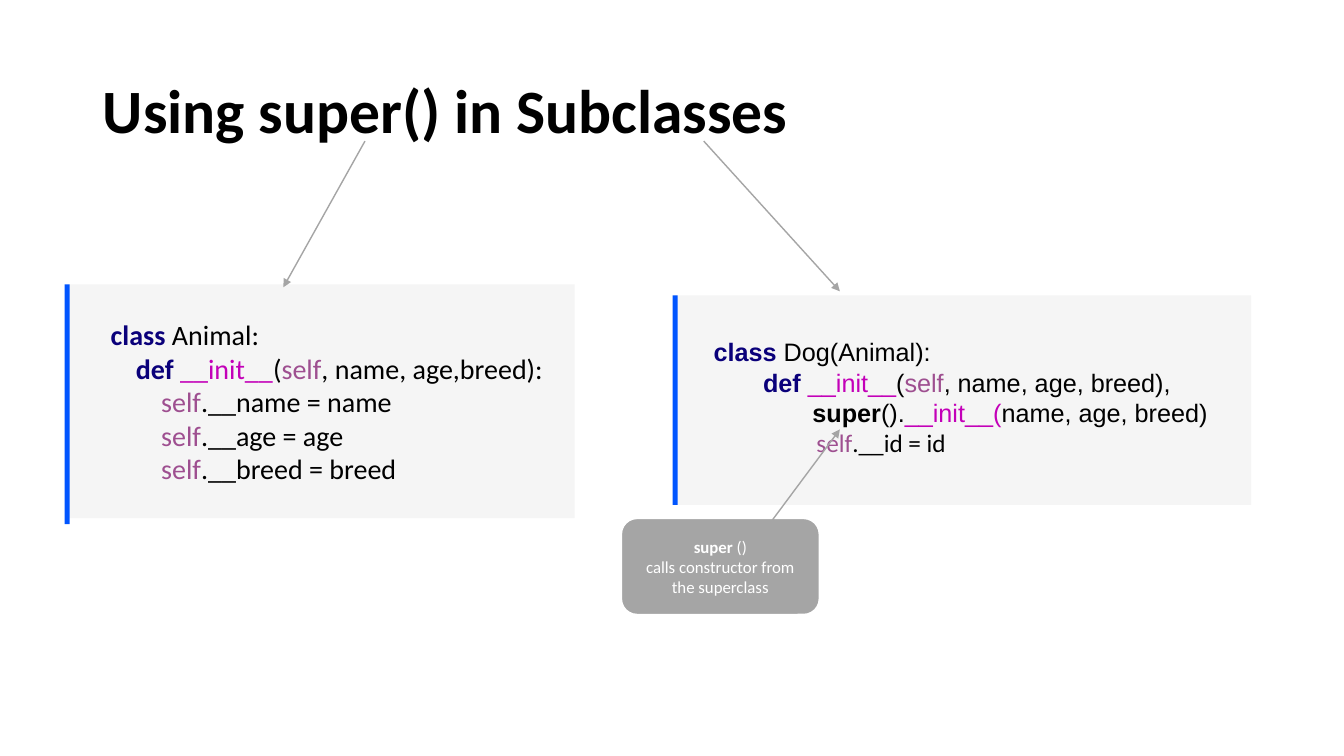
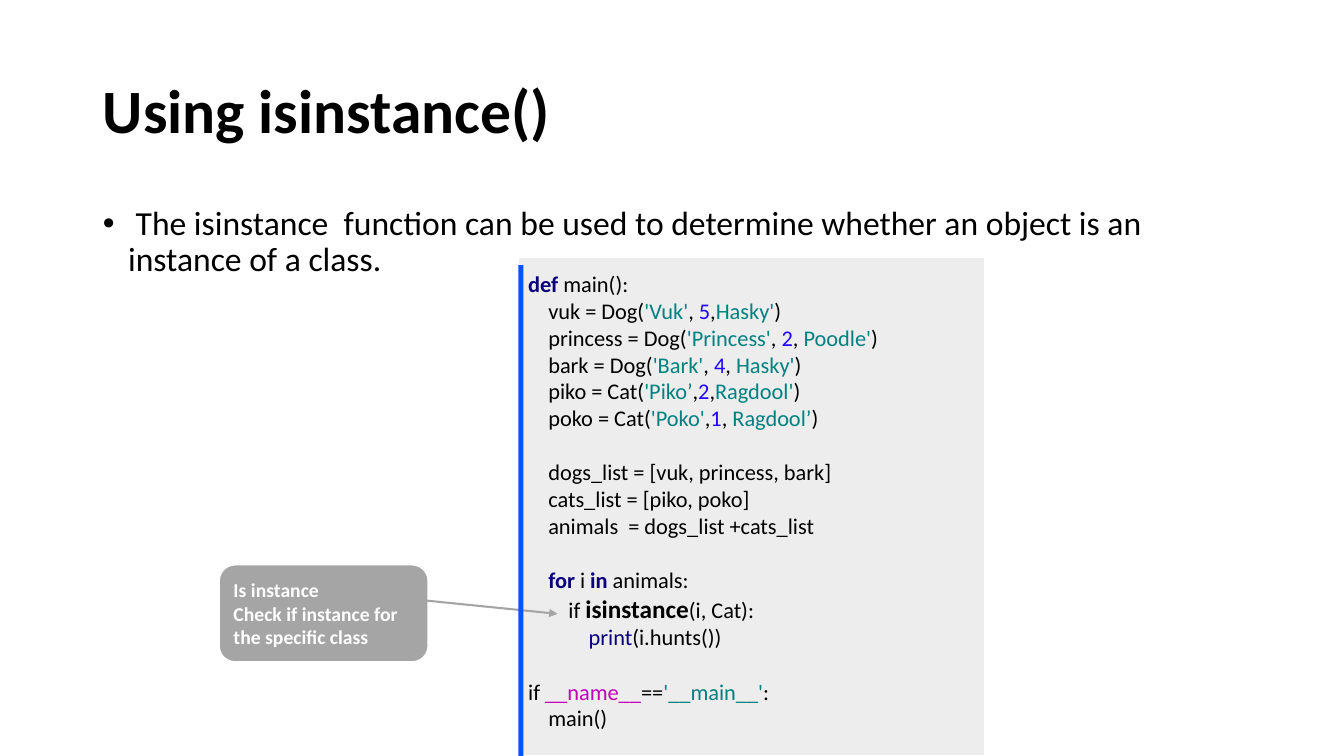
from collections import namedtuple

from lxml.etree import SubElement
from pptx import Presentation
from pptx.dml.color import RGBColor
from pptx.enum.shapes import MSO_CONNECTOR as Connector, MSO_SHAPE as Shape
from pptx.enum.text import MSO_ANCHOR as Anchor, MSO_AUTO_SIZE as AutoSize, PP_ALIGN as Align
from pptx.oxml.ns import qn
from pptx.util import Inches, Pt

BLACK = RGBColor(0x00, 0x00, 0x00)
WHITE = RGBColor(0xFF, 0xFF, 0xFF)
GRAY = RGBColor(0xA5, 0xA5, 0xA5)
PANEL = RGBColor(0xF5, 0xF5, 0xF5)
TABLE_FILL = RGBColor(0xED, 0xED, 0xED)
BAR_BLUE = RGBColor(0x00, 0x55, 0xFF)
NAVY = RGBColor(0x0A, 0x00, 0x7A)
MAGENTA = RGBColor(0xC3, 0x00, 0xB8)
PLUM = RGBColor(0x9E, 0x4F, 0x90)
TEAL = RGBColor(0x00, 0x81, 0x80)
NUMBER_BLUE = RGBColor(0x23, 0x00, 0xFF)

FONT = "Calibri"
BAR_WIDTH = 0.05
TITLE_AREA = (0.92, 0.4, 11.5, 1.45)
TITLE_FORMAT = {"name": FONT, "size": Pt(44), "bold": True}
BODY_FORMAT = {"name": FONT, "size": Pt(24), "bold": False}

# Code style: colour and font changes
CODE_STYLES = {
    "plain": (BLACK, {}),
    "keyword": (NAVY, {"bold": True}),
    "builtin": (NAVY, {}),
    "strong": (BLACK, {"bold": True}),
    "large": (BLACK, {"bold": True, "size": Pt(18)}),
    "magic": (MAGENTA, {}),
    "self": (PLUM, {}),
    "string": (TEAL, {}),
    "number": (NUMBER_BLUE, {}),
}

# A span is a plain string or a (text, style) pair; gap is space before in points
Line = namedtuple("Line", "level spans gap font", defaults=(0, None))

SELF = ("self", "self")
INIT = ("__init__", "magic")

ANIMAL_CODE = [
    Line(0, [("class ", "keyword"), "Animal:"]),
    Line(1, [("def ", "keyword"), INIT, "(", SELF, ", name, age,breed):"]),
    *(Line(2, [SELF, f".__{field} = {field}"]) for field in ("name", "age", "breed")),
]

DOG_CODE = [
    Line(0, [("class", "keyword"), " Dog(Animal):"]),
    Line(1, [("def ", "keyword"), INIT, "(", SELF, ", name, age, breed),"]),
    Line(2, [("super", "strong"), "().", ("__init__(", "magic"), "name, age, breed)"]),
    Line(2.08, [SELF, ".__id = id"], font=FONT),
]


def pet_line(start, name, comma, age, second_comma, breed):
    return Line(1, [start, (name, "string"), comma, (age, "number"),
                    second_comma, (breed, "string"), ")"])


BLOCK_GAP = 19.5
MAIN_CODE = [
    Line(0, [("def", "keyword"), " main():"]),
    pet_line("vuk = Dog(", "'Vuk'", ", ", "5", ",", "Hasky'"),
    pet_line("princess = Dog(", "'Princess'", ", ", "2", ", ", "Poodle'"),
    pet_line("bark = Dog(", "'Bark'", ", ", "4", ", ", "Hasky'"),
    pet_line("piko = Cat(", "'Piko’", ",", "2", ",", "Ragdool'"),
    pet_line("poko = Cat(", "'Poko'", ",", "1", ", ", "Ragdool’"),
    Line(1, ["dogs_list = [vuk, princess, bark]"], BLOCK_GAP),
    Line(1, ["cats_list = [piko, poko]"]),
    Line(1, ["animals  = dogs_list +cats_list"]),
    Line(1, [("for ", "keyword"), "i ", ("in", "keyword"), " animals:"], BLOCK_GAP),
    Line(2, ["if ", ("isinstance", "large"), "(i, Cat):"]),
    Line(3, [("print", "builtin"), "(i.hunts())"]),
    Line(0, ["if ", ("__name__", "magic"), "==", ("'__main__'", "string"), ":"], BLOCK_GAP),
    Line(1, ["main()"]),
]


def inches(values):
    return [Inches(value) for value in values]


def apply_format(target, values):
    for name, value in values.items():
        setattr(target, name, value)


def add_span(para, text, color, font_format):
    span = para.add_run()
    span.text = text
    apply_format(span.font, font_format)
    span.font.color.rgb = color


def paragraph_at(frame, index):
    return frame.paragraphs[0] if index == 0 else frame.add_paragraph()


def set_indent(para, left, first=0):
    properties = para._p.get_or_add_pPr()
    properties.set("marL", str(Inches(left)))
    properties.set("indent", str(Inches(first)))


def fill_placeholder(holder, area, text, anchor, font_format):
    apply_format(holder, dict(zip(("left", "top", "width", "height"), inches(area))))
    frame = holder.text_frame
    apply_format(frame, {"auto_size": AutoSize.NONE, "vertical_anchor": anchor,
                         "word_wrap": True})
    para = frame.paragraphs[0]
    apply_format(para, {"alignment": Align.LEFT, "line_spacing": 0.9})
    add_span(para, text, BLACK, font_format)
    return para


def add_titled_page(deck, layout_index, title):
    page = deck.slides.add_slide(deck.slide_layouts[layout_index])
    fill_placeholder(page.shapes.title, TITLE_AREA, title, Anchor.MIDDLE, TITLE_FORMAT)
    for holder in list(page.placeholders):
        if holder.placeholder_format.idx >= 10:
            holder.element.getparent().remove(holder.element)
    return page


def add_block(page, area, fill, kind=Shape.RECTANGLE):
    block = page.shapes.add_shape(kind, *inches(area))
    block.shadow.inherit = False
    block.fill.solid()
    block.fill.fore_color.rgb = fill
    block.line.fill.background()
    return block


def add_bar(page, left, top, height):
    add_block(page, (left, top, BAR_WIDTH, height), BAR_BLUE)


def add_code(page, area, lines, size, step, font=FONT):
    """Write code lines, each indented by its level times step inches."""
    frame = page.shapes.add_textbox(*inches(area)).text_frame
    frame.word_wrap = True
    for index, line in enumerate(lines):
        para = paragraph_at(frame, index)
        para.space_before = Pt(line.gap)
        set_indent(para, line.level * step)
        base = {"name": line.font or font, "size": Pt(size), "bold": False}
        for span in line.spans:
            text, style = (span, "plain") if isinstance(span, str) else span
            color, changes = CODE_STYLES[style]
            add_span(para, text, color, {**base, **changes})


def add_callout(page, area, rows, size, alignment):
    """Add a rounded note; each row is a list of (text, bold) pairs."""
    note = add_block(page, area, GRAY, Shape.ROUNDED_RECTANGLE)
    note.line.color.rgb = WHITE
    note.line.width = Pt(1.5)
    frame = note.text_frame
    apply_format(frame, {"word_wrap": True, "vertical_anchor": Anchor.MIDDLE})
    for index, row in enumerate(rows):
        para = paragraph_at(frame, index)
        para.alignment = alignment
        for text, bold in row:
            add_span(para, text, WHITE, {"name": FONT, "size": Pt(size), "bold": bold})


def add_arrow(page, start, end, width=1):
    arrow = page.shapes.add_connector(Connector.STRAIGHT, *inches(start + end))
    arrow.line.color.rgb = GRAY
    arrow.line.width = Pt(width)
    SubElement(arrow.line._get_or_add_ln(), qn("a:tailEnd"), type="triangle")
    SubElement(arrow._element.spPr, qn("a:effectLst"))


def build_super_page(deck):
    page = add_titled_page(deck, 5, "Using super() in Subclasses")
    add_block(page, (6.69, 2.93, 5.72, 2.08), PANEL)
    add_block(page, (0.67, 2.82, 5.03, 2.32), PANEL)
    add_code(page, (6.98, 3.29, 5.43, 1.72), DOG_CODE, 18, 0.49, "Arial")
    add_code(page, (1, 3.1, 4.7, 2), ANIMAL_CODE, 20, 0.25)
    add_callout(page, (6.16, 5.14, 1.97, 0.96),
                [[("super", True), (" ()", False)],
                 [("calls constructor from the superclass", False)]],
                12, Align.CENTER)
    for start, end in (((7.63, 5.2), (8.33, 4.26)),
                       ((6.98, 1.4), (8.33, 2.89)),
                       ((3.62, 1.4), (2.81, 2.85))):
        add_arrow(page, start, end)
    add_bar(page, 0.64, 2.82, 2.38)
    add_bar(page, 6.67, 2.93, 2.08)


def build_isinstance_page(deck):
    page = add_titled_page(deck, 1, "Using isinstance()")
    bullet = fill_placeholder(
        page.placeholders[1], (0.92, 2, 11.5, 4.76),
        " The isinstance  function can be used to determine whether an object "
        "is an instance of a class.", Anchor.TOP, BODY_FORMAT)
    bullet.space_before = Pt(10)
    set_indent(bullet, 0.25, -0.25)

    table = page.shapes.add_table(1, 1, *inches((5.14, 2.55, 4.63, 4.95))).table
    cell = table.cell(0, 0)
    cell.fill.solid()
    cell.fill.fore_color.rgb = TABLE_FILL

    add_code(page, (5.14, 2.63, 4.63, 4.71), MAIN_CODE, 16, 0.2)
    add_callout(page, (2.17, 5.6, 2.08, 0.97),
                [[("Is instance", True)],
                 [("Check if instance for the specific class", True)]],
                14, Align.LEFT)
    add_arrow(page, (3.95, 5.93), (5.53, 6.09), 1.5)
    add_bar(page, 5.14, 2.63, 4.87)


def main():
    deck = Presentation()
    apply_format(deck, {"slide_width": Inches(13.33), "slide_height": Inches(7.5)})
    build_super_page(deck)
    build_isinstance_page(deck)
    deck.save("out.pptx")


if __name__ == "__main__":
    main()
